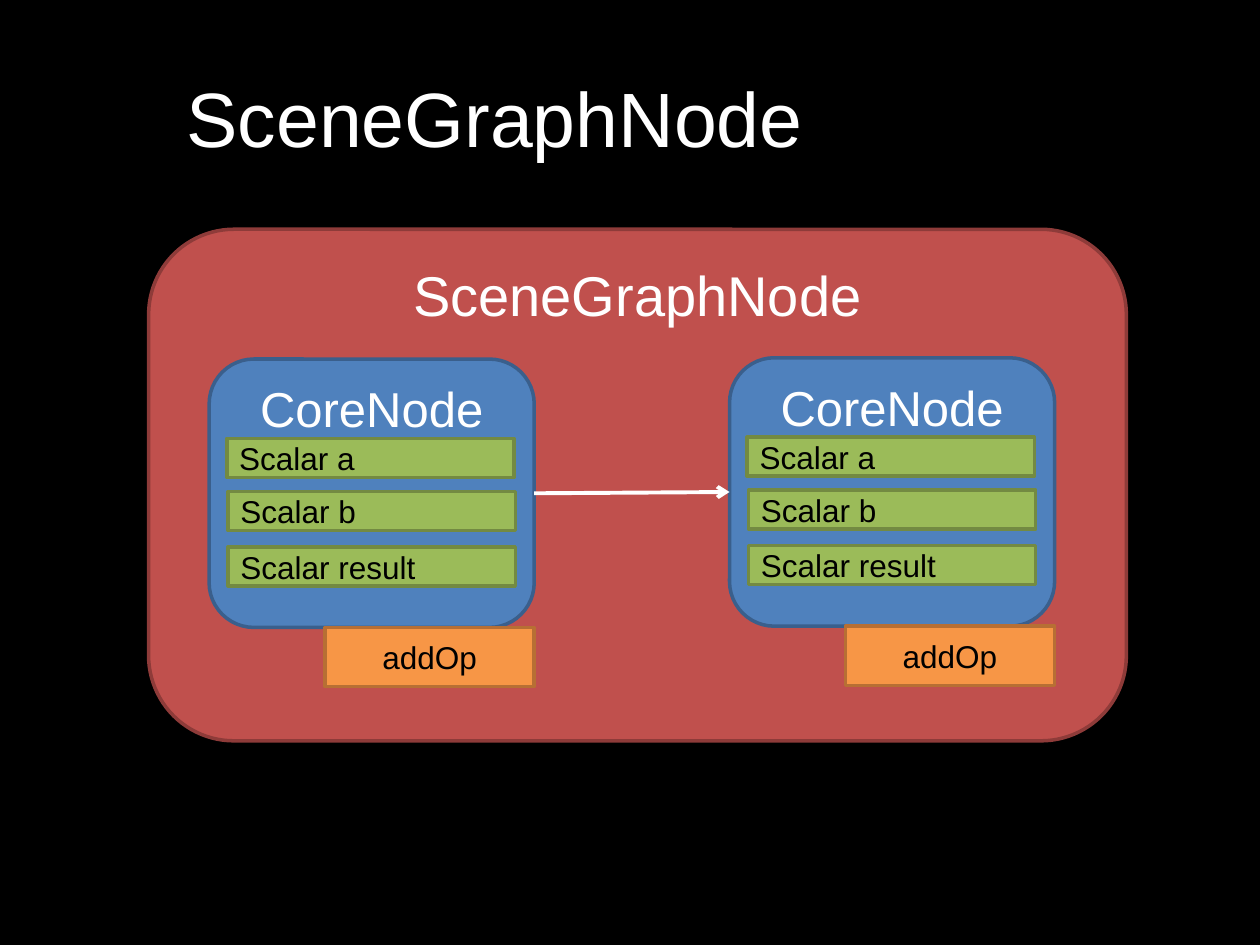
from pptx import Presentation
from pptx.dml.color import RGBColor
from pptx.enum.shapes import MSO_CONNECTOR, MSO_SHAPE
from pptx.enum.text import MSO_ANCHOR, PP_ALIGN
from pptx.oxml.ns import qn
from pptx.util import Inches, Pt
from lxml.etree import SubElement

RECT, ROUND = MSO_SHAPE.RECTANGLE, MSO_SHAPE.ROUNDED_RECTANGLE

# Look of each kind of box
STYLES = {
    "scene": dict(kind=ROUND, fill="C0504D", line="8E3B39", size=32, color="FFFFFF",
                  align=PP_ALIGN.CENTER, anchor=MSO_ANCHOR.TOP),
    "core": dict(kind=ROUND, fill="4F81BD", line="3A5F8C", size=28, color="FFFFFF",
                 align=PP_ALIGN.CENTER, anchor=MSO_ANCHOR.TOP),
    "scalar": dict(kind=RECT, fill="9BBB59", line="738A42", size=18, color="000000",
                   align=PP_ALIGN.LEFT, anchor=MSO_ANCHOR.MIDDLE),
    "op": dict(kind=RECT, fill="F79646", line="B76F34", size=18, color="000000",
               align=PP_ALIGN.CENTER, anchor=MSO_ANCHOR.MIDDLE),
}


def rgb(value):
    return RGBColor.from_string(value)


def write(tf, text, size, color, align, anchor):
    tf.word_wrap = True
    tf.vertical_anchor = anchor
    p = tf.paragraphs[0]
    p.alignment = align
    r = p.add_run()
    r.text = text
    for name, value in dict(name="Arial", size=Pt(size)).items():
        setattr(r.font, name, value)
    r.font.color.rgb = rgb(color)


def add_box(shapes, style, text, x, y, w, h):
    st = STYLES[style]
    sp = shapes.add_shape(st["kind"], Inches(x), Inches(y), Inches(w), Inches(h))
    sp.shadow.inherit = False
    sp.fill.solid()
    sp.fill.fore_color.rgb = rgb(st["fill"])
    sp.line.color.rgb = rgb(st["line"])
    sp.line.width = Pt(2)
    write(sp.text_frame, text, st["size"], st["color"], st["align"], st["anchor"])
    return sp


def add_title(s, text, x, y, w, h):
    title = s.shapes.title
    box = dict(left=x, top=y, width=w, height=h)
    for name, value in box.items():
        setattr(title, name, Inches(value))
    write(title.text_frame, text, 44, "FFFFFF", PP_ALIGN.LEFT, MSO_ANCHOR.MIDDLE)


def add_core_node(s, x, y, w=2.58, h=2.13):
    """Group a core node with its scalar fields and its operation tab."""
    shapes = s.shapes.add_group_shape().shapes
    core = add_box(shapes, "core", "CoreNode", x, y, w, h)
    fields = [("Scalar a", 0.14, 0.63), ("Scalar b", 0.15, 1.05), ("Scalar result", 0.15, 1.49)]
    for text, dx, dy in fields:
        add_box(shapes, "scalar", text, x + dx, y + dy, 2.28, 0.31)
    op_w = 1.66
    add_box(shapes, "op", "addOp", x + w - op_w, y + h, op_w, 0.47)
    return core


def add_arrow(s, source, target):
    """Join the right side of source to the left side of target."""
    cx = s.shapes.add_connector(MSO_CONNECTOR.STRAIGHT, 0, 0, 0, 0)
    cx.begin_connect(source, 3)
    cx.end_connect(target, 1)
    cx.line.color.rgb = rgb("FFFFFF")
    cx.line.width = Pt(2.25)
    sppr = cx.line._get_or_add_ln().getparent()
    SubElement(sppr.find(qn("a:ln")), qn("a:tailEnd")).set("type", "arrow")
    SubElement(sppr, qn("a:effectLst"))


def add_scene_graph(s, x, y, w, h):
    add_box(s.shapes, "scene", "SceneGraphNode", x, y, w, h)
    left = add_core_node(s, x + 0.48, y + 1.03)
    right = add_core_node(s, x + 4.61, y + 1.02)
    add_arrow(s, left, right)


prs = Presentation()
prs.slide_width, prs.slide_height = Inches(10), Inches(7.5)
s = prs.slides.add_slide(prs.slide_layouts[5])
s.background.fill.solid()
s.background.fill.fore_color.rgb = rgb("000000")
add_title(s, "SceneGraphNode", 1.38, 0.3, 8.12, 1.25)
add_scene_graph(s, 1.18, 1.82, 7.76, 4.06)
prs.save("out.pptx")
